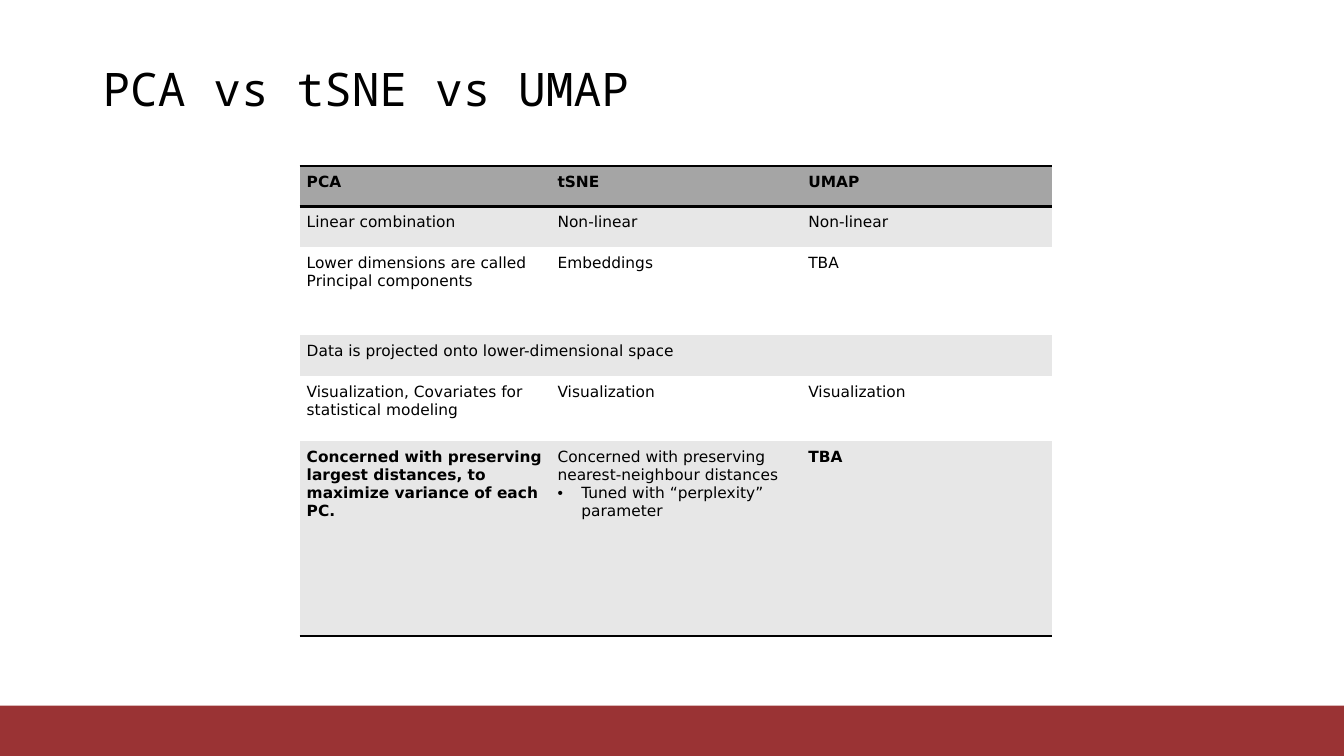
from pptx import Presentation
from pptx.dml.color import RGBColor
from pptx.enum.shapes import MSO_SHAPE
from pptx.enum.text import MSO_ANCHOR, MSO_AUTO_SIZE, PP_ALIGN
from pptx.oxml import parse_xml
from pptx.oxml.ns import nsdecls
from pptx.util import Cm, Pt

INK, RED, WHITE = "000000", "9A3334", "FFFFFF"
HEAD, BAND = "A5A5A5", "E7E7E7"
SANS = "DejaVu Sans"
PLAIN = "{2D5ABB26-0587-4C30-8999-92F81FD0307C}"
WIDE, TALL = 33.87, 19.05
COL = 6.32
HIGH = [1.02, 1.03, 2.22, 1.03, 1.64, 4.91]
ROWS = [
    ["PCA", "tSNE", "UMAP"],
    ["Linear combination", "Non-linear", "Non-linear"],
    ["Lower dimensions are called Principal components", "Embeddings", "TBA"],
    ["Data is projected onto lower-dimensional space"],
    ["Visualization, Covariates for statistical modeling", "Visualization",
     "Visualization"],
    ["Concerned with preserving largest distances, to maximize variance of each PC.",
     "Concerned with preserving nearest-neighbour distances\n"
     "• Tuned with “perplexity” parameter", "TBA"],
]
BOLD = {(0, 0), (0, 1), (0, 2), (5, 0), (5, 2)}


def tint(code):
    return RGBColor.from_string(code)


def apply(item, form):
    for name, value in form.items():
        setattr(item, name, value)


def add_run(para, text, size, face, bold=False):
    run = para.add_run()
    run.text = text
    apply(run.font, {"size": Pt(size), "name": face, "bold": bold})
    run.font.color.rgb = tint(INK)


def add_title(slide, text):
    title = slide.shapes.title
    apply(title, {"left": Cm(2.33), "top": Cm(1.01),
                  "width": Cm(29.21), "height": Cm(2.57)})
    apply(title.text_frame, {"vertical_anchor": MSO_ANCHOR.MIDDLE, "word_wrap": True,
                             "auto_size": MSO_AUTO_SIZE.NONE})
    para = title.text_frame.paragraphs[0]
    apply(para, {"alignment": PP_ALIGN.LEFT, "line_spacing": 0.9})
    add_run(para, text, 33, "Noto Sans Mono")


def add_foot(slide):
    # Red band
    band = slide.shapes.add_shape(MSO_SHAPE.RECTANGLE, Cm(0), Cm(17.78),
                                  Cm(WIDE), Cm(TALL - 17.78))
    band.shadow.inherit = False
    band.fill.solid()
    band.fill.fore_color.rgb = tint(RED)
    band.line.fill.background()


def add_bullet(para):
    props = para._p.get_or_add_pPr()
    props.set("marL", str(Cm(0.6)))
    props.set("indent", str(-Cm(0.6)))
    props.append(parse_xml(f'<a:buFont {nsdecls("a")} typeface="Arial"/>'))
    props.append(parse_xml(f'<a:buChar {nsdecls("a")} char="•"/>'))


def add_rule(cell, sides):
    props = cell._tc.get_or_add_tcPr()
    for spot, side in enumerate(sides):
        props.insert(spot, parse_xml(
            f'<a:ln{side} {nsdecls("a")} w="{Pt(2)}"><a:solidFill>'
            f'<a:srgbClr val="{INK}"/></a:solidFill></a:ln{side}>'))


def fill_cell(cell, text, bold):
    frame = cell.text_frame
    frame.word_wrap = True
    for spot, line in enumerate(text.split("\n")):
        para = frame.add_paragraph() if spot else frame.paragraphs[0]
        if line.startswith("• "):
            add_bullet(para)
        add_run(para, line.removeprefix("• "), 11, SANS, bold)


def add_grid(slide):
    frame = slide.shapes.add_table(len(ROWS), 3, Cm(7.55), Cm(4.18),
                                   Cm(3 * COL), Cm(sum(HIGH)))
    table = frame.table
    # Plain style, so that only the cell formats show
    apply(table, {"first_row": False, "horz_banding": False})
    table._tbl.tblPr.find("{*}tableStyleId").text = PLAIN
    for col in table.columns:
        col.width = Cm(COL)
    pad = dict.fromkeys(["margin_left", "margin_right", "margin_top",
                         "margin_bottom"], Cm(0.18))
    # Rows: header, then alternating bands
    for r, texts in enumerate(ROWS):
        table.rows[r].height = Cm(HIGH[r])
        if len(texts) == 1:
            table.cell(r, 0).merge(table.cell(r, 2))
        shade = HEAD if r == 0 else BAND if r % 2 else WHITE
        for c in range(3):
            cell = table.cell(r, c)
            apply(cell, pad)
            cell.fill.solid()
            cell.fill.fore_color.rgb = tint(shade)
            if r in (0, len(ROWS) - 1):
                add_rule(cell, "B" if r else "TB")
            if c < len(texts):
                fill_cell(cell, texts[c], (r, c) in BOLD)


def main():
    deck = Presentation()
    apply(deck, {"slide_width": Cm(WIDE), "slide_height": Cm(TALL)})
    slide = deck.slides.add_slide(deck.slide_layouts[5])
    add_foot(slide)
    add_grid(slide)
    add_title(slide, "PCA vs tSNE vs UMAP")
    deck.save("out.pptx")


if __name__ == "__main__":
    main()
